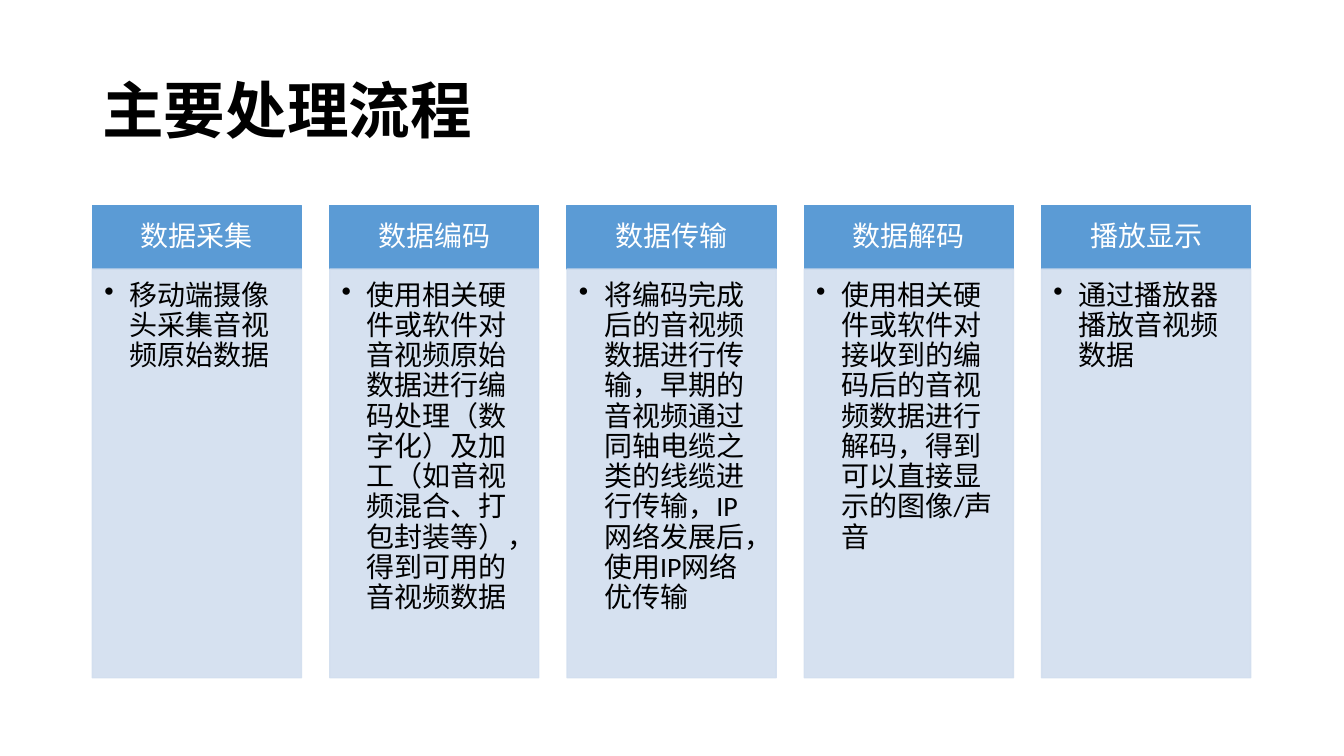
from typing import NamedTuple

import lxml.etree
import pptx
import pptx.dml.color
import pptx.enum.shapes
import pptx.enum.text
import pptx.oxml.ns
import pptx.util
from pptx.util import Cm

RGBColor = pptx.dml.color.RGBColor
PP_ALIGN = pptx.enum.text.PP_ALIGN
MSO_ANCHOR = pptx.enum.text.MSO_ANCHOR
qn = pptx.oxml.ns.qn

BLACK = RGBColor(0x00, 0x00, 0x00)
WHITE = RGBColor(0xFF, 0xFF, 0xFF)
BLUE = RGBColor(0x5B, 0x9B, 0xD5)
PALE_BLUE = RGBColor(0xD2, 0xDE, 0xEF)

FONT = "Calibri"
LEFT, PITCH, WIDTH = 2.33, 5.98, 5.27
HEAD_TOP, HEAD_HEIGHT, BODY_HEIGHT = 5.18, 1.6, 10.3
HEAD_INSETS = (0.41, 0.23, 0.41, 0.23)
BODY_INSETS = (0.3, 0.3, 0.41, 0.43)
TITLE_INSETS = (0.25, 0.13, 0.25, 0.13)


class Step(NamedTuple):
    name: str
    detail: str


STEPS = [
    Step("数据采集", "移动端摄像头采集音视频原始数据"),
    Step("数据编码", "使用相关硬件或软件对音视频原始数据进行编码处理（数字化）及加工（如音视频混合、打包封装等），得到可用的音视频数据"),
    Step("数据传输", "将编码完成后的音视频数据进行传输，早期的音视频通过同轴电缆之类的线缆进行传输，IP网络发展后，使用IP网络优传输"),
    Step("数据解码", "使用相关硬件或软件对接收到的编码后的音视频数据进行解码，得到可以直接显示的图像/声音"),
    Step("播放显示", "通过播放器播放音视频数据"),
]


def add_bullet(p) -> None:
    pPr = p._p.get_or_add_pPr()
    pPr.set("marL", str(Cm(0.635)))
    pPr.set("indent", str(-Cm(0.635)))
    lxml.etree.SubElement(pPr, qn("a:buChar")).set("char", "•")


def write_text(sp, text: str, *, insets: tuple, size: int = 20,
               color: RGBColor = BLACK, bold: bool = False,
               align=PP_ALIGN.LEFT, anchor=MSO_ANCHOR.MIDDLE,
               bullet: bool = False) -> None:
    tf = sp.text_frame
    tf.word_wrap = True
    tf.vertical_anchor = anchor
    tf.margin_left, tf.margin_top, tf.margin_right, tf.margin_bottom = map(Cm, insets)
    p = tf.paragraphs[0]
    p.alignment = align
    p.line_spacing = 0.9
    if bullet:
        add_bullet(p)
    r = p.add_run()
    r.text = text
    r.font.name = FONT
    r.font.size = pptx.util.Pt(size)
    r.font.bold = bold
    r.font.color.rgb = color


def add_box(s, left: float, top: float, height: float, color: RGBColor,
            opacity: int = 100):
    sp = s.shapes.add_shape(pptx.enum.shapes.MSO_SHAPE.RECTANGLE,
                            Cm(left), Cm(top), Cm(WIDTH), Cm(height))
    sp.shadow.inherit = False
    sp.fill.solid()
    sp.fill.fore_color.rgb = color
    sp.line.color.rgb = color
    sp.line.width = pptx.util.Pt(1)
    if opacity < 100:
        for clr in sp.element.spPr.iter(qn("a:srgbClr")):
            lxml.etree.SubElement(clr, qn("a:alpha")).set("val", str(opacity * 1000))
    return sp


def add_step(s, step: Step, left: float) -> None:
    head = add_box(s, left, HEAD_TOP, HEAD_HEIGHT, BLUE)
    write_text(head, step.name, insets=HEAD_INSETS, color=WHITE,
               align=PP_ALIGN.CENTER)
    body = add_box(s, left, HEAD_TOP + HEAD_HEIGHT, BODY_HEIGHT, PALE_BLUE, 90)
    write_text(body, step.detail, insets=BODY_INSETS, anchor=MSO_ANCHOR.TOP,
               bullet=True)


def main() -> None:
    prs = pptx.Presentation()
    prs.slide_width, prs.slide_height = Cm(33.87), Cm(19.05)
    s = prs.slides.add_slide(prs.slide_layouts[6])
    title = s.shapes.add_textbox(Cm(LEFT), Cm(1.01), Cm(29.21), Cm(3.68))
    write_text(title, "主要处理流程", insets=TITLE_INSETS, size=44, bold=True)
    for i, step in enumerate(STEPS):
        add_step(s, step, LEFT + i * PITCH)
    prs.save("out.pptx")


if __name__ == "__main__":
    main()
